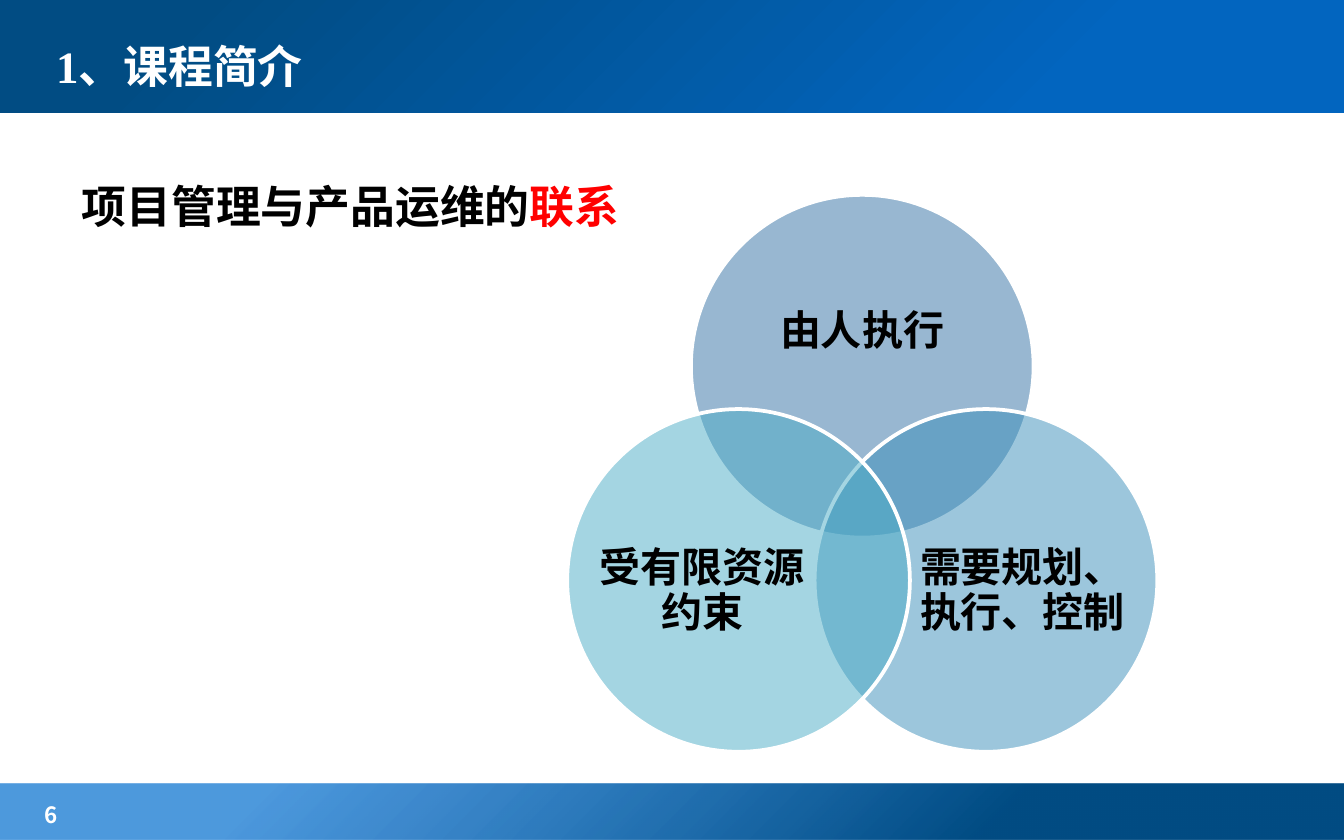
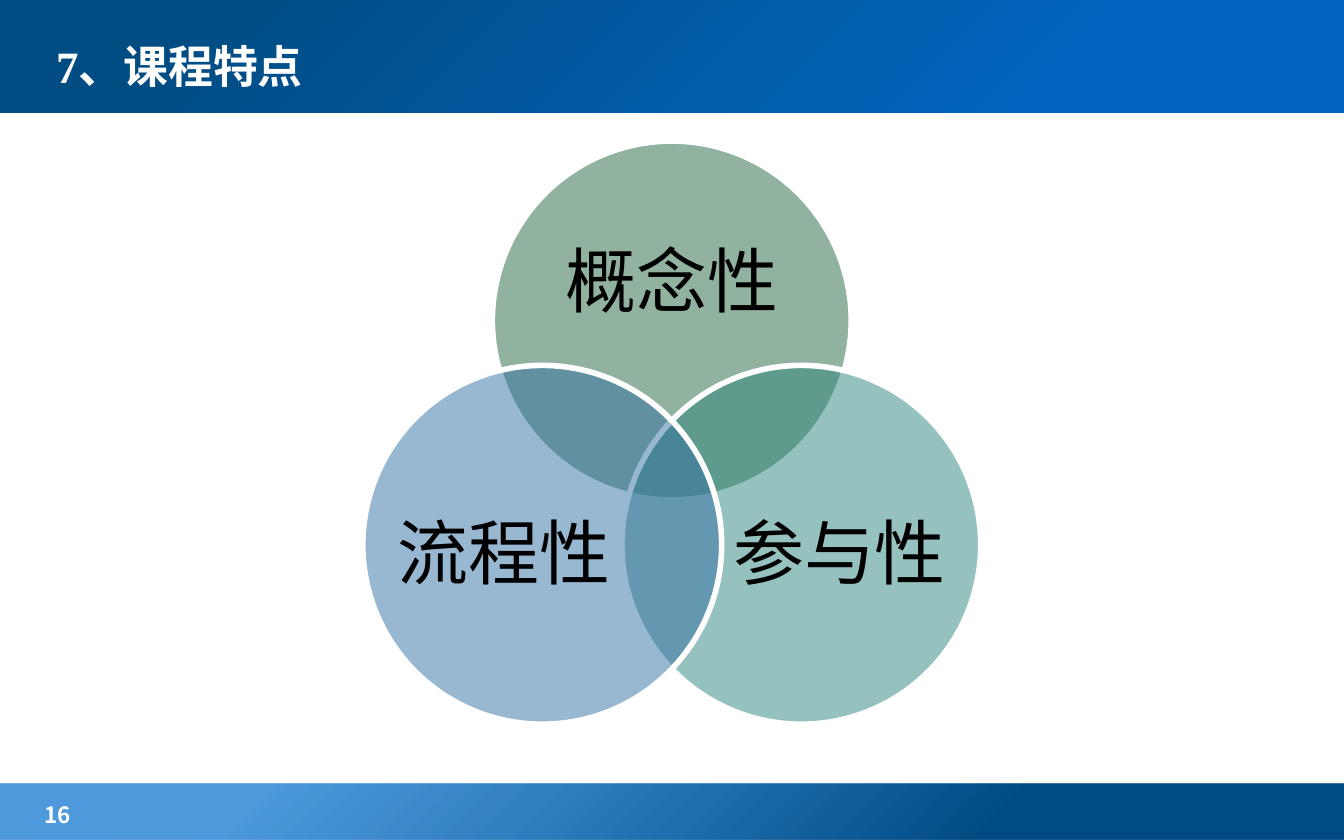
from dataclasses import dataclass

from lxml.etree import SubElement
from pptx import Presentation
from pptx.dml.color import RGBColor
from pptx.enum.shapes import MSO_SHAPE
from pptx.enum.text import MSO_ANCHOR, PP_ALIGN
from pptx.oxml.ns import qn
from pptx.util import Inches, Pt


@dataclass(frozen=True)
class Theme:
    """Colours, fonts and type sizes shared by the slides."""

    white: str = "FFFFFF"
    black: str = "000000"
    red: str = "FF0000"
    blue: str = "3371A4"
    sky: str = "3A8FBA"
    aqua: str = "4BACC6"
    green: str = "24673E"
    teal: str = "2C857E"
    header: tuple = ((21, "0265BF", 100), (86, "014C83", 100))
    footer: tuple = ((26, "014C83", 100), (80, "026DCE", 70))
    serif: str = "Times New Roman"
    sans: str = "Cabin"
    chinese: str = "Noto Sans CJK SC"
    title_size: int = 24
    number_size: int = 12


@dataclass(frozen=True)
class Box:
    """A rectangle in inches."""

    left: float
    top: float
    width: float
    height: float

    def inside(self, left, top, width, height):
        """Return a box given as fractions of this box's width."""
        unit = self.width
        return Box(self.left + left * unit, self.top + top * unit, width * unit, height * unit)

    def lengths(self):
        """Return left, top, width and height as lengths."""
        return [Inches(side) for side in (self.left, self.top, self.width, self.height)]


@dataclass(frozen=True)
class Style:
    """Type style of a text."""

    size: int
    color: str
    font: str
    bold: bool = True


THEME = Theme()
HEADER = Box(0, -0.03, 10, 0.87)
FOOTER = Box(0, 5.83, 10, 0.42)
TITLE = Style(THEME.title_size, THEME.white, THEME.serif)
HEADING = Style(THEME.title_size, THEME.black, THEME.serif)
NUMBER = Style(THEME.number_size, THEME.white, THEME.chinese)

CIRCLE_OFFSETS = ((0.361, 0), (0.722, 0.625), (0, 0.625))
LABEL_AREAS = (
    (0.133, 0.175, 0.733, 0.45),
    (0.306, 0.258, 0.601, 0.55),
    (0.094, 0.258, 0.601, 0.55),
)


def format_span(span, style):
    """Apply a type style to a run."""
    font = span.font
    font.size = Pt(style.size)
    font.bold = style.bold
    font.color.rgb = RGBColor.from_string(style.color)
    font.name = style.font
    SubElement(font._element, qn("a:ea"), typeface=THEME.chinese)


def add_text(page, box, text, style, anchor=MSO_ANCHOR.TOP):
    """Add a wrapped text box and return its frame."""
    frame = page.shapes.add_textbox(*box.lengths()).text_frame
    frame.word_wrap = True
    frame.vertical_anchor = anchor
    frame.text = text
    format_span(frame.paragraphs[0].runs[0], style)
    return frame


def set_alpha(color, percent):
    """Set the opacity of a colour element."""
    SubElement(color, qn("a:alpha"), val=str(percent * 1000))


def add_band(page, box, stops):
    """Add a band with a gradient spreading from its lower right corner."""
    band = page.shapes.add_shape(MSO_SHAPE.RECTANGLE, *box.lengths())
    band.shadow.inherit = False
    band.line.fill.background()
    band.fill.gradient()
    gradient = band._element.spPr.find(qn("a:gradFill"))
    for child in list(gradient):
        gradient.remove(child)
    stop_list = SubElement(gradient, qn("a:gsLst"))
    for position, value, opacity in stops:
        stop = SubElement(stop_list, qn("a:gs"), pos=str(position * 1000))
        color = SubElement(stop, qn("a:srgbClr"), val=value)
        if opacity < 100:
            set_alpha(color, opacity)
    circle = SubElement(gradient, qn("a:path"), path="circle")
    SubElement(circle, qn("a:fillToRect"), l="100000", t="100000")


def add_frame(deck, title, title_width, number):
    """Add a page with its bands, title and number."""
    page = deck.slides.add_slide(deck.slide_layouts[6])
    add_band(page, FOOTER, THEME.footer)
    add_band(page, HEADER, THEME.header)
    number_box = Box(FOOTER.left + 0.2, FOOTER.top + 0.08, 1.57, 0.26)
    add_text(page, number_box, str(number), NUMBER).margin_left = Inches(0.13)
    title_box = Box(HEADER.left + 0.32, HEADER.top + 0.16, title_width, 0.71)
    add_text(page, title_box, title, TITLE, MSO_ANCHOR.MIDDLE)
    return page


def add_heading(page, box, text, emphasis):
    """Add a heading that ends in a red emphasis."""
    para = add_text(page, box, text, HEADING).paragraphs[0]
    para.line_spacing = 1.5
    span = para.add_run()
    span.text = emphasis
    format_span(span, Style(HEADING.size, THEME.red, HEADING.font))


def add_circle(page, box, color, line_width):
    """Add a half-transparent circle with a white outline."""
    circle = page.shapes.add_shape(MSO_SHAPE.OVAL, *box.lengths())
    circle.shadow.inherit = False
    circle.fill.solid()
    circle.fill.fore_color.rgb = RGBColor.from_string(color)
    set_alpha(circle._element.spPr.find(f"{qn('a:solidFill')}/{qn('a:srgbClr')}"), 50)
    circle.line.color.rgb = RGBColor.from_string(THEME.white)
    circle.line.width = Pt(line_width)


def add_label(page, box, text, style):
    """Add a centred label without insets."""
    frame = add_text(page, box, text, style, MSO_ANCHOR.MIDDLE)
    frame.margin_left = frame.margin_right = frame.margin_top = frame.margin_bottom = 0
    para = frame.paragraphs[0]
    para.alignment = PP_ALIGN.CENTER
    para.line_spacing = 0.9


def add_venn(page, left, top, diameter, line_width, style, circles):
    """Add three overlapping circles, listed as top, right and left."""
    unit = Box(left, top, diameter, diameter)
    for (text, color), offset, area in zip(circles, CIRCLE_OFFSETS, LABEL_AREAS):
        box = unit.inside(*offset, 1, 1)
        add_circle(page, box, color, line_width)
        add_label(page, box.inside(*area), text, style)


def add_introduction(deck):
    """Add the page on what projects and operations share."""
    page = add_frame(deck, "1、课程简介", 7.28, 6)
    add_heading(page, Box(0.51, 1.08, 9.21, 3.9), "项目管理与产品运维的", "联系")
    circles = (
        ("由人执行", THEME.blue),
        ("需要规划、执行、控制", THEME.sky),
        ("受有限资源约束", THEME.aqua),
    )
    add_venn(page, 4.22, 1.45, 2.55, 2, Style(22, THEME.black, THEME.serif), circles)


def add_features(deck):
    """Add the page on the features of the course."""
    page = add_frame(deck, "7、课程特点", 6.38, 16)
    circles = (
        ("概念性", THEME.green),
        ("参与性", THEME.teal),
        ("流程性", THEME.blue),
    )
    add_venn(page, 2.7, 1.05, 2.67, 3, Style(38, THEME.black, THEME.sans, False), circles)


def main():
    """Build and save the deck."""
    deck = Presentation()
    deck.slide_width = Inches(10)
    deck.slide_height = Inches(6.25)
    add_introduction(deck)
    add_features(deck)
    deck.save("out.pptx")


if __name__ == "__main__":
    main()
